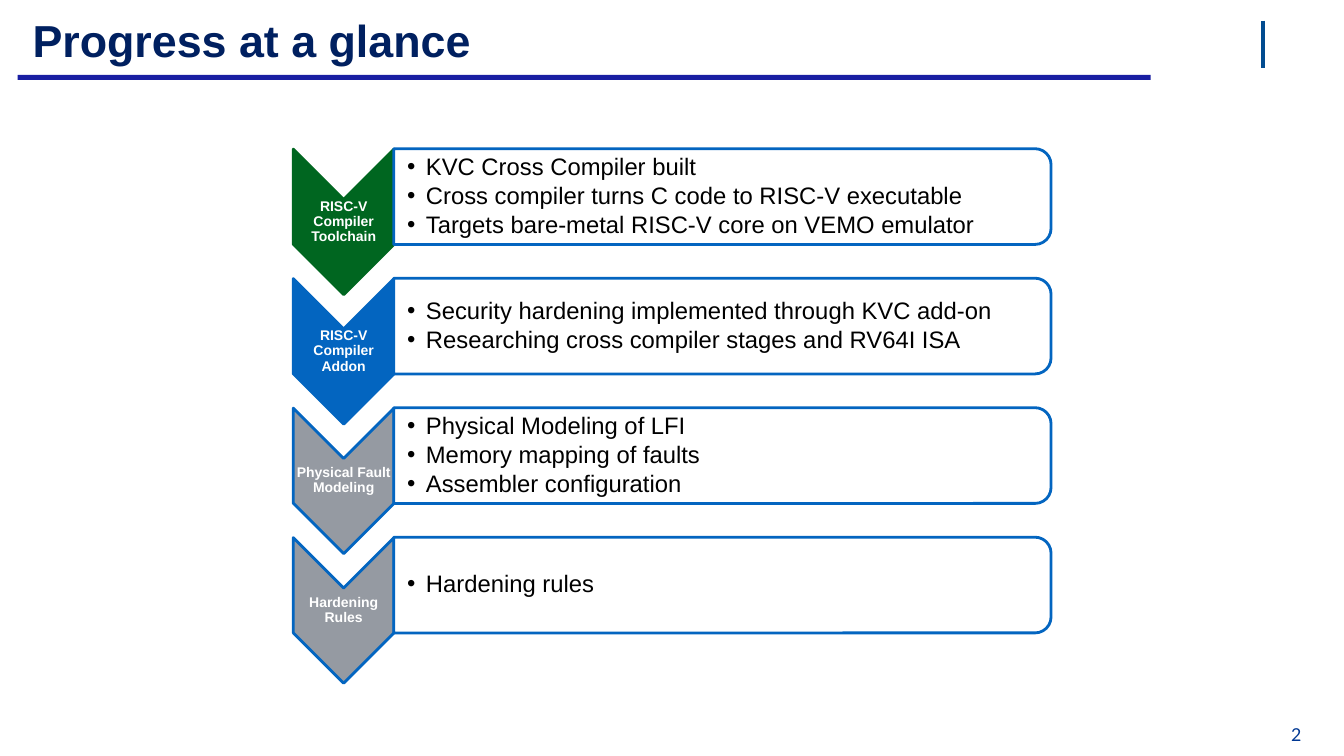
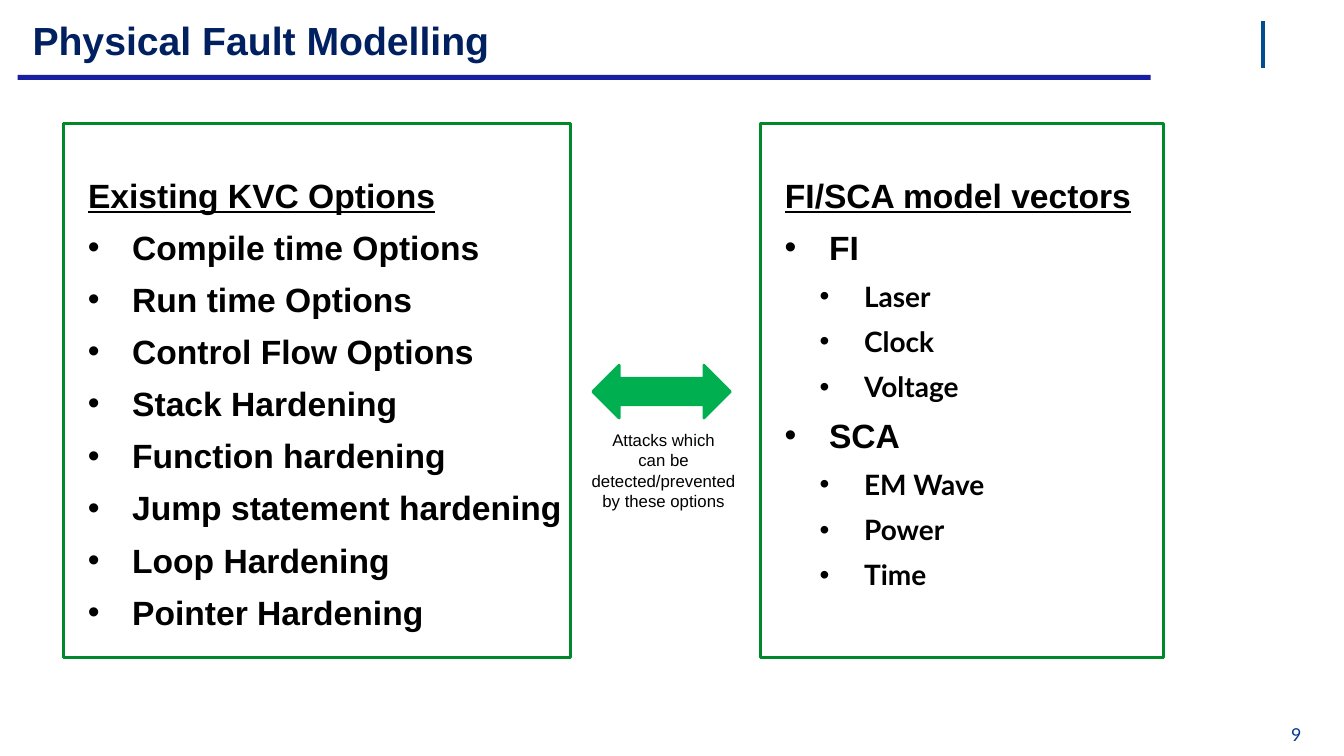
from lxml import etree
from pptx import Presentation
from pptx.dml.color import RGBColor
from pptx.enum import shapes, text
from pptx.oxml import ns
from pptx.util import Pt

# Content
STEPS = [
    ("RISC-V Compiler Toolchain", "green",
     ["KVC Cross Compiler built",
      "Cross compiler turns C code to RISC-V executable",
      "Targets bare-metal RISC-V core on VEMO emulator"]),
    ("RISC-V Compiler Addon", "blue",
     ["Security hardening implemented through KVC add-on",
      "Researching cross compiler stages and RV64I ISA"]),
    ("Physical Fault Modeling", "grey",
     ["Physical Modeling of LFI", "Memory mapping of faults",
      "Assembler configuration"]),
    ("Hardening Rules", "grey", ["Hardening rules"]),
]
# Panel: left, width, heading, (level, item) rows
PANELS = [
    (45.4, 362, "Existing KVC Options",
     [(0, "Compile time Options"), (0, "Run time Options"),
      (0, "Control Flow Options"), (0, "Stack Hardening"),
      (0, "Function hardening"), (0, "Jump statement hardening"),
      (0, "Loop Hardening"), (0, "Pointer Hardening")]),
    (543.2, 288, "FI/SCA model vectors",
     [(0, "FI"), (1, "Laser"), (1, "Clock"), (1, "Voltage"),
      (0, "SCA"), (1, "EM Wave"), (1, "Power"), (1, "Time")]),
]
CAPTION = ["Attacks which", "can be", "detected/prevented", "by these options"]

# Colours
NAVY = RGBColor(0x00, 0x20, 0x60)
BAR = RGBColor(0x19, 0x1E, 0xA2)
TICK = RGBColor(0x02, 0x4C, 0x90)
PAGE = RGBColor(0x00, 0x38, 0x93)
BLUE = RGBColor(0x03, 0x65, 0xC0)
GREEN = RGBColor(0x00, 0x66, 0x20)
GREY = RGBColor(0x95, 0x9A, 0xA2)
FRAME = RGBColor(0x00, 0x88, 0x2B)
ARROW = RGBColor(0x00, 0xB0, 0x50)
WHITE = RGBColor(0xFF, 0xFF, 0xFF)
BLACK = RGBColor(0x00, 0x00, 0x00)
STATES = {"green": (GREEN, GREEN), "blue": (BLUE, BLUE), "grey": (GREY, BLUE)}

KIND = shapes.MSO_SHAPE
MID = text.MSO_ANCHOR.MIDDLE
TOP = text.MSO_ANCHOR.TOP
CENTER = text.PP_ALIGN.CENTER
LEFT = text.PP_ALIGN.LEFT


# Helpers
def place(item, x, y, w, h):
    item.left, item.top, item.width, item.height = Pt(x), Pt(y), Pt(w), Pt(h)


def setup(item, pads, anchor=MID, wrap=True):
    frame = item.text_frame
    frame.auto_size = text.MSO_AUTO_SIZE.NONE
    frame.word_wrap = wrap
    frame.vertical_anchor = anchor
    (frame.margin_left, frame.margin_top,
     frame.margin_right, frame.margin_bottom) = map(Pt, pads)
    return frame


def box(slide, x, y, w, h, pads, wrap=True):
    item = slide.shapes.add_textbox(Pt(x), Pt(y), Pt(w), Pt(h))
    return setup(item, pads, wrap=wrap)


def paint(item, fill, edge=None, width=2):
    item.fill.solid()
    item.fill.fore_color.rgb = fill
    if edge is None:
        item.line.fill.background()
    else:
        item.line.color.rgb = edge
        item.line.width = Pt(width)


def shape(slide, kind, x, y, w, h, fill, edge=None):
    item = slide.shapes.add_shape(kind, Pt(x), Pt(y), Pt(w), Pt(h))
    item.shadow.inherit = False
    paint(item, fill, edge)
    return item


def turned(slide, kind, cx, cy, w, h, fill, edge):
    """Shape centred on a point and turned a quarter; w, h before the turn."""
    item = shape(slide, kind, cx - w / 2, cy - h / 2, w, h, fill, edge)
    item.rotation = 90


def write(para, words, size, color=BLACK, face="Arial", bold=False, under=False):
    run = para.add_run()
    run.text = words
    font = run.font
    font.name, font.size, font.bold = face, Pt(size), bold
    font.underline = under
    font.color.rgb = color


def para_at(frame, index):
    return frame.paragraphs[0] if index == 0 else frame.add_paragraph()


def indent(para, left, hang=0):
    """Set the left margin; a hanging indent also gets a bullet."""
    props = para._p.get_or_add_pPr()
    props.set("marL", str(Pt(left)))
    props.set("indent", str(Pt(-hang)))
    if hang:
        font = etree.SubElement(props, ns.qn("a:buFont"))
        font.set("typeface", "Arial")
        mark = etree.SubElement(props, ns.qn("a:buChar"))
        mark.set("char", "•")
    else:
        etree.SubElement(props, ns.qn("a:buNone"))


def start(deck, layout, title, size, number):
    """New slide with title, bar, tick and page number."""
    slide = deck.slides.add_slide(deck.slide_layouts[layout])
    shape(slide, KIND.RECTANGLE, 12.6, 53.5, 809.4, 3.6, BAR)
    tick = slide.shapes.add_connector(
        shapes.MSO_CONNECTOR.STRAIGHT, Pt(902.3), Pt(14.8), Pt(902.3), Pt(48.6))
    tick.line.color.rgb = TICK
    tick.line.width = Pt(3)
    etree.SubElement(tick._element.spPr, ns.qn("a:effectLst"))
    head = slide.shapes.title
    place(head, 13.2, 0.3, 804, 56)
    para = setup(head, [10] * 4).paragraphs[0]
    para.alignment = LEFT
    write(para, title, size, NAVY, bold=True)
    para = box(slide, 918, 517, 16, 15, [0] * 4, wrap=False).paragraphs[0]
    para.alignment = CENTER
    write(para, number, 12.7, PAGE, "Lato")
    return slide


# Slide: progress
def progress(deck):
    slide = start(deck, 5, "Progress at a glance", 32, "2")
    for row, (label, state, items) in enumerate(STEPS):
        shift = row * 92.5
        mid, card = 158.5 + shift, 140.4 + shift
        turned(slide, KIND.CHEVRON, 245.5, mid, 104, 72, *STATES[state])
        frame = box(slide, 209.5, mid - 16.5, 72, 33, [1] * 4)
        para = frame.paragraphs[0]
        para.alignment = CENTER
        para.line_spacing = 0.9
        write(para, label, 10, WHITE, bold=True)
        turned(slide, KIND.ROUND_2_SAME_RECTANGLE, 516, card, 68.4, 469.5,
               WHITE, BLUE)
        frame = box(slide, 281.7, card - 30.6, 466, 61.2, [9, 1, 1, 1])
        for index, item in enumerate(items):
            para = para_at(frame, index)
            para.line_spacing = 0.9
            para.space_after = Pt(2.5)
            indent(para, 13.5, 13.5)
            write(para, item, 17)


# Slide: fault model
def faults(deck):
    slide = start(deck, 3, "Physical Fault Modelling", 28, "9")
    bodies = list(slide.placeholders)[1:]
    for body, (x, w, heading, rows) in zip(bodies, PANELS):
        place(body, x, 88, w, 381.6)
        paint(body, WHITE, FRAME)
        frame = setup(body, [0, 37, 0, 0], TOP)
        para = frame.paragraphs[0]
        para.space_before = Pt(0)
        indent(para, 17.5)
        write(para, heading, 24, bold=True, under=True)
        for level, item in rows:
            para = frame.add_paragraph()
            para.level = level
            para.space_before = Pt(8.4)
            indent(para, 49 + 25 * level, 31.7)
            size, face = (20, "Lato") if level else (24, "Arial")
            write(para, item, size, face=face, bold=True)

    # Link between the panels
    shape(slide, KIND.LEFT_RIGHT_ARROW, 423.5, 260.9, 98.2, 37.7, ARROW, ARROW)
    frame = box(slide, 418, 303, 112, 66, [4.3] * 4, wrap=False)
    para = frame.paragraphs[0]
    para.alignment = CENTER
    for index, line in enumerate(CAPTION):
        if index:
            para.add_line_break()
        write(para, line, 12)


def main():
    deck = Presentation()
    deck.slide_width, deck.slide_height = Pt(960), Pt(540)
    progress(deck)
    faults(deck)
    deck.save("out.pptx")


if __name__ == "__main__":
    main()
